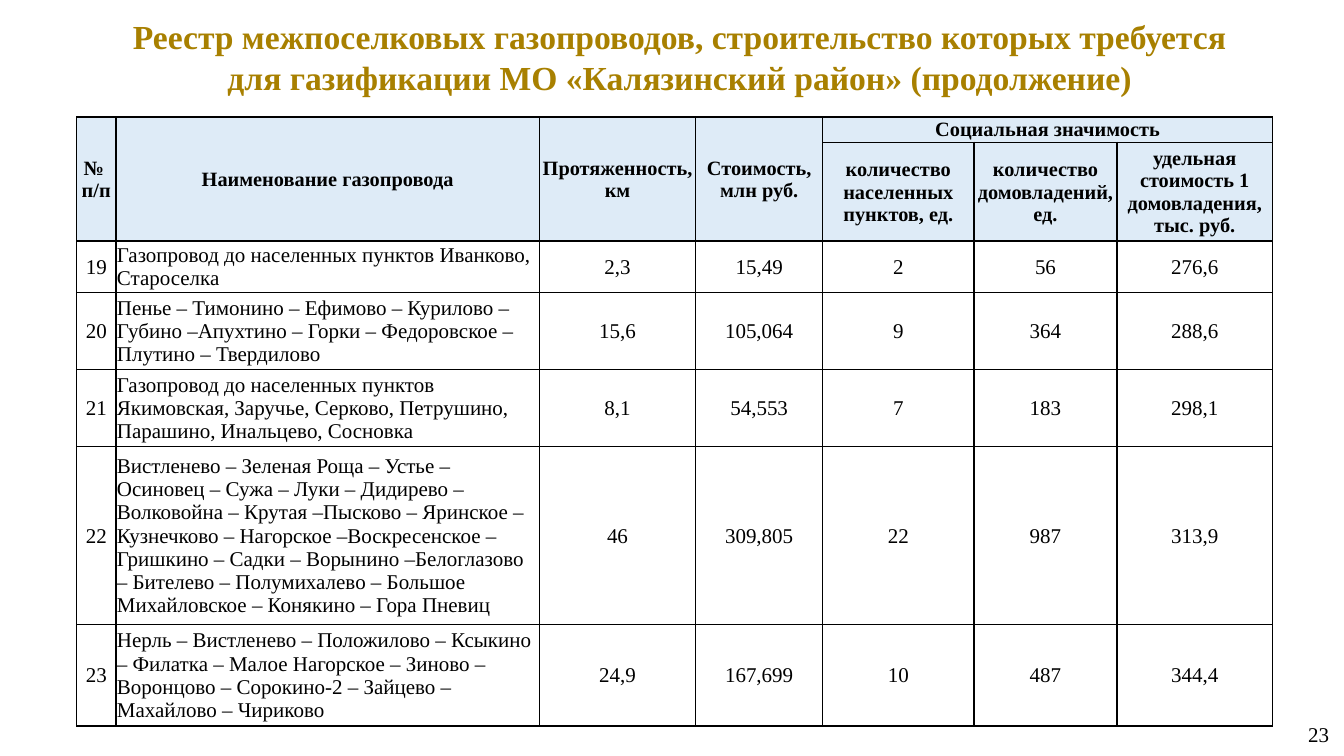
import dataclasses

import lxml.etree
import pptx
import pptx.dml.color
import pptx.enum.text
import pptx.oxml.ns
import pptx.util

Inches = pptx.util.Inches
Align = pptx.enum.text.PP_ALIGN
Anchor = pptx.enum.text.MSO_ANCHOR


@dataclasses.dataclass(frozen=True)
class Theme:
    """Colours, font and type sizes of the slide."""
    font: str = "Times New Roman"
    gold: str = "A88000"
    black: str = "000000"
    header_fill: str = "DEEBF7"
    title_size: float = 24
    header_size: float = 14.5
    body_size: float = 15
    border_width: float = 1


THEME = Theme()
TITLE = ("Реестр межпоселковых газопроводов, строительство которых требуется\n"
         "для газификации МО «Калязинский район» (продолжение)")
COLUMN_WIDTHS = (0.39, 4.2, 1.55, 1.26, 1.5, 1.42, 1.54)
ROW_HEIGHTS = (0.25, 0.98, 0.51, 0.76, 0.77, 1.75, 1.01)
MAIN_HEADERS = ("№ \vп/п", "Наименование газопровода", "Протяженность, км",
                "Стоимость, млн руб.")
GROUP_HEADER = "Социальная значимость"
GROUP_COLUMNS = ("количество населенных пунктов, ед.",
                 "количество\nдомовладений, ед.",
                 "удельная стоимость 1 домовладения, тыс. руб.")
PIPELINES = (
    ("19", "Газопровод до населенных пунктов Иванково, Староселка",
     "2,3", "15,49", "2", "56", "276,6"),
    ("20", "Пенье – Тимонино – Ефимово – Курилово – Губино –Апухтино – Горки – "
     "Федоровское – Плутино – Твердилово",
     "15,6", "105,064", "9", "364", "288,6"),
    ("21", "Газопровод до населенных пунктов Якимовская, Заручье, Серково, "
     "Петрушино, Парашино, Инальцево, Сосновка",
     "8,1", "54,553", "7", "183", "298,1"),
    ("22", "Вистленево – Зеленая Роща – Устье – Осиновец – Сужа – Луки – "
     "Дидирево – Волковойна – Крутая –Пысково – Яринское – Кузнечково – "
     "Нагорское –Воскресенское – Гришкино – Садки – Ворынино –Белоглазово – "
     "Бителево – Полумихалево – Большое Михайловское – Конякино – Гора Пневиц",
     "46", "309,805", "22", "987", "313,9"),
    ("23", "Нерль – Вистленево – Положилово – Ксыкино – Филатка – "
     "Малое Нагорское – Зиново – Воронцово – Сорокино-2 – Зайцево – "
     "Махайлово – Чириково",
     "24,9", "167,699", "10", "487", "344,4"),
)


def set_attributes(target, values):
    """Set each named attribute of the target."""
    for name, value in values.items():
        setattr(target, name, value)


def write_text(text_frame, text, size, color, bold=False, alignment=Align.CENTER):
    """Fill a text frame with uniformly formatted paragraphs."""
    text_frame.text = text
    for paragraph in text_frame.paragraphs:
        paragraph.alignment = alignment
        for run in paragraph.runs:
            set_attributes(run.font, {"name": THEME.font, "size": pptx.util.Pt(size),
                                      "bold": bold})
            run.font.color.rgb = pptx.dml.color.RGBColor.from_string(color)


def add_borders(cell):
    """Draw a solid line on all four sides of a cell."""
    properties = cell._tc.get_or_add_tcPr()
    qualify = pptx.oxml.ns.qn
    for index, side in enumerate(("a:lnL", "a:lnR", "a:lnT", "a:lnB")):
        line = lxml.etree.Element(qualify(side),
                                  w=str(pptx.util.Pt(THEME.border_width)))
        fill = lxml.etree.SubElement(line, qualify("a:solidFill"))
        lxml.etree.SubElement(fill, qualify("a:srgbClr"), val=THEME.black)
        properties.insert(index, line)


def format_cell(cell, fill=None):
    """Set the margins, anchor, fill and borders of a cell."""
    set_attributes(cell, {
        "margin_left": Inches(0.01), "margin_right": Inches(0.01),
        "margin_top": Inches(0.01), "margin_bottom": 0,
        "vertical_anchor": Anchor.MIDDLE})
    if fill:
        cell.fill.solid()
        cell.fill.fore_color.rgb = pptx.dml.color.RGBColor.from_string(fill)
    else:
        cell.fill.background()
    add_borders(cell)


def add_title(slide, left, top, width, height):
    """Place the two-line heading in the title placeholder."""
    title = slide.shapes.title
    set_attributes(title, {"left": Inches(left), "top": Inches(top),
                           "width": Inches(width), "height": Inches(height)})
    set_attributes(title.text_frame, {"word_wrap": True,
                                      "vertical_anchor": Anchor.TOP})
    write_text(title.text_frame, TITLE, THEME.title_size, THEME.gold, bold=True)


def add_header(table):
    """Fill the two header rows and merge their cells."""
    group_start = len(MAIN_HEADERS)
    last_column = len(COLUMN_WIDTHS) - 1
    headers = [(0, column, text) for column, text in enumerate(MAIN_HEADERS)]
    headers.append((0, group_start, GROUP_HEADER))
    headers += [(1, column, text)
                for column, text in enumerate(GROUP_COLUMNS, group_start)]
    for row, column, text in headers:
        write_text(table.cell(row, column).text_frame, text, THEME.header_size,
                   THEME.black, bold=True)
    for row in range(2):
        for column in range(len(COLUMN_WIDTHS)):
            format_cell(table.cell(row, column), THEME.header_fill)
    for column in range(group_start):
        table.cell(0, column).merge(table.cell(1, column))
    table.cell(0, group_start).merge(table.cell(0, last_column))


def add_pipeline_table(slide, left, top, width, height):
    """Place the pipeline register in the given box."""
    frame = slide.shapes.add_table(len(ROW_HEIGHTS), len(COLUMN_WIDTHS),
                                   Inches(left), Inches(top),
                                   Inches(width), Inches(height))
    table = frame.table
    set_attributes(table, {"first_row": False, "horz_banding": False})
    for column, column_width in zip(table.columns, COLUMN_WIDTHS):
        column.width = Inches(column_width)
    for row, row_height in zip(table.rows, ROW_HEIGHTS):
        row.height = Inches(row_height)
    add_header(table)
    for row, values in enumerate(PIPELINES, 2):
        for column, text in enumerate(values):
            cell = table.cell(row, column)
            alignment = Align.LEFT if column == 1 else Align.CENTER
            write_text(cell.text_frame, text, THEME.body_size, THEME.black,
                       alignment=alignment)
            format_cell(cell)


def add_page_number(slide, left, top, width, height):
    """Place the page number at the right of the given box."""
    box = slide.shapes.add_textbox(Inches(left), Inches(top),
                                   Inches(width), Inches(height))
    set_attributes(box.text_frame, {"word_wrap": True,
                                    "vertical_anchor": Anchor.MIDDLE})
    write_text(box.text_frame, "23", THEME.body_size, THEME.black,
               alignment=Align.RIGHT)


def main():
    """Build the slide and save the presentation."""
    presentation = pptx.Presentation()
    set_attributes(presentation, {"slide_width": Inches(13.33),
                                  "slide_height": Inches(7.5)})
    slide = presentation.slides.add_slide(presentation.slide_layouts[5])
    add_page_number(slide, 10.57, 6.98, 2.71, 0.61)
    add_title(slide, 0.86, 0.11, 11.76, 0.91)
    add_pipeline_table(slide, 0.76, 1.16, sum(COLUMN_WIDTHS), sum(ROW_HEIGHTS))
    presentation.save("out.pptx")


if __name__ == "__main__":
    main()
